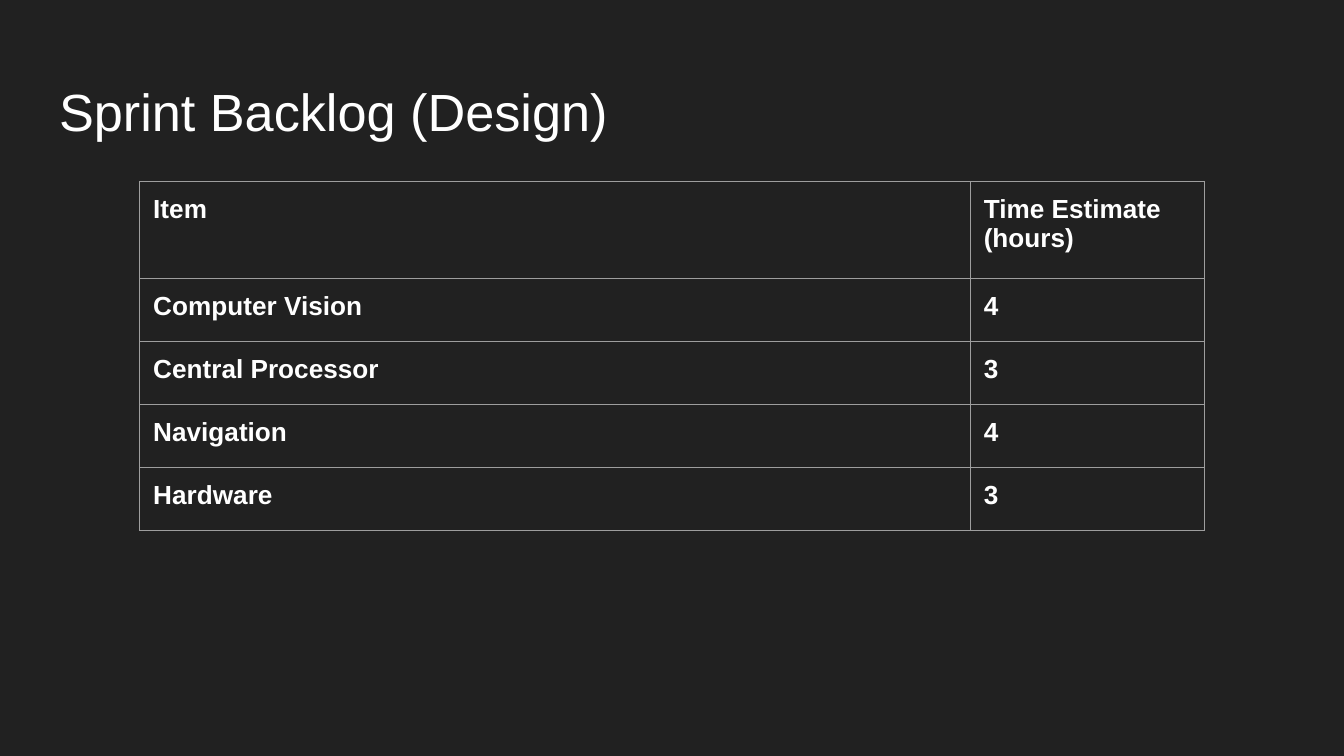
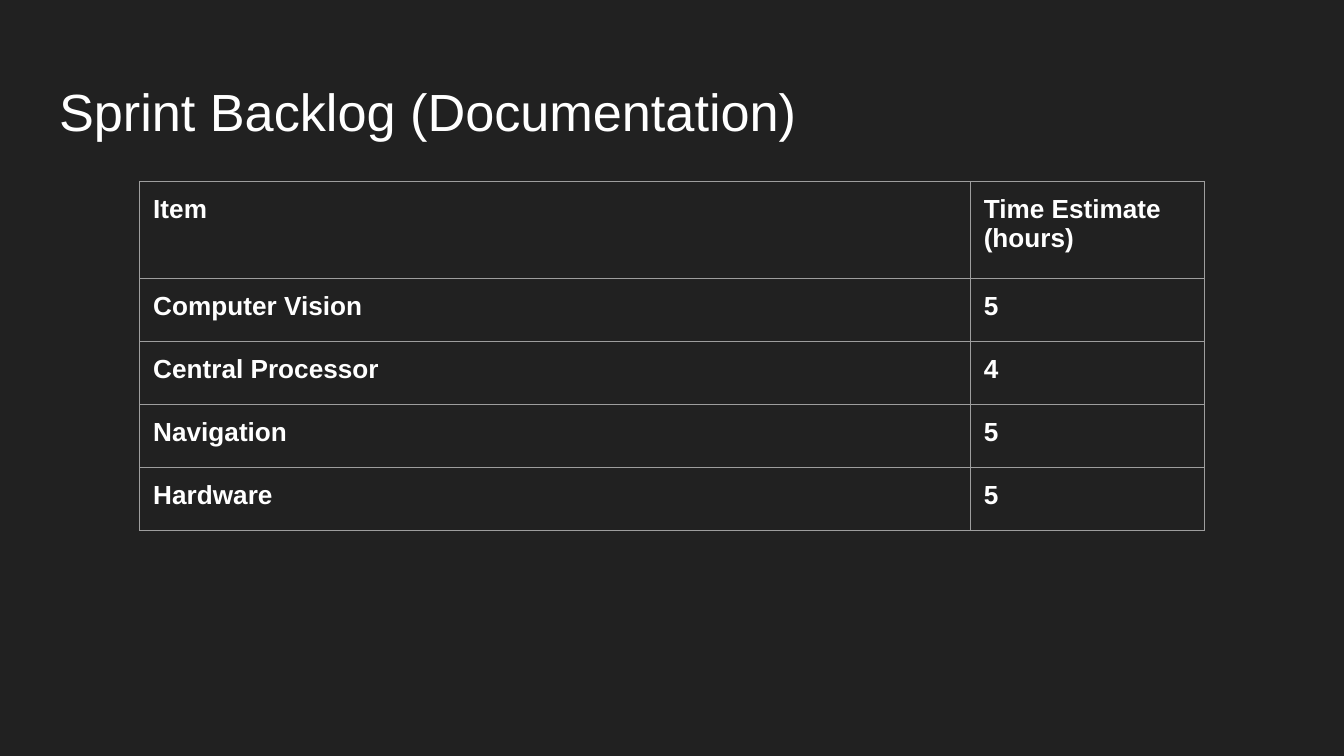
from dataclasses import dataclass

from lxml import etree
from pptx import Presentation
from pptx.dml.color import RGBColor
from pptx.enum.text import MSO_ANCHOR, MSO_AUTO_SIZE, PP_ALIGN
from pptx.oxml.ns import qn
from pptx.presentation import Presentation as Deck
from pptx.slide import Slide
from pptx.table import _Cell
from pptx.text.text import TextFrame
from pptx.util import Inches, Pt

TOP = MSO_ANCHOR.TOP
LEFT = PP_ALIGN.LEFT
FIXED_SIZE = MSO_AUTO_SIZE.NONE

BACKGROUND = RGBColor(0x21, 0x21, 0x21)
TEXT = RGBColor(0xFF, 0xFF, 0xFF)
RULE = RGBColor(0x9E, 0x9E, 0x9E)
FONT = "Arial"

SLIDE_WIDTH = Inches(10)
SLIDE_HEIGHT = SLIDE_WIDTH * 9 // 16
TITLE_ONLY = 5

# Square grid: the slide is 100 modules wide, and all lengths count modules.
MODULE = SLIDE_WIDTH // 100
TITLE_BOX = (3.4, 4.9, 93.2, 6.3)
TABLE_ORIGIN = (10.4, 13.5)
COLUMN_WIDTHS = (61.8, 17.4)
HEADER_HEIGHT = 7.2
ITEM_HEIGHT = 4.7
INSET = 1

HEADER = ("Item", "Time Estimate (hours)")
ITEMS = ("Computer Vision", "Central Processor", "Navigation", "Hardware")


@dataclass(frozen=True)
class Backlog:
    phase: str
    hours: tuple[int, ...]


BACKLOGS = (
    Backlog("Design", (4, 3, 4, 3)),
    Backlog("Documentation", (5, 4, 5, 5)),
)


def modules(count: float) -> int:
    return round(count * MODULE)


def write(frame: TextFrame, text: str, *, size: float, bold: bool = False,
          space_before: float = 0) -> None:
    paragraph = frame.paragraphs[0]
    paragraph.alignment = LEFT
    paragraph.space_before = Pt(space_before)
    run = paragraph.add_run()
    run.text = text
    run.font.name = FONT
    run.font.size = Pt(size)
    run.font.bold = bold
    run.font.color.rgb = TEXT


def set_insets(holder: TextFrame | _Cell) -> None:
    holder.margin_left = holder.margin_right = modules(INSET)
    holder.margin_top = holder.margin_bottom = modules(INSET)
    holder.vertical_anchor = TOP


def set_borders(cell: _Cell, width: float = 0.75) -> None:
    properties = cell._tc.get_or_add_tcPr()
    for position, side in enumerate(("lnL", "lnR", "lnT", "lnB")):
        line = etree.Element(qn(f"a:{side}"), w=str(Pt(width)))
        fill = etree.SubElement(line, qn("a:solidFill"))
        etree.SubElement(fill, qn("a:srgbClr"), val=str(RULE))
        properties.insert(position, line)


def add_title(slide: Slide, text: str) -> None:
    title = slide.shapes.title
    title.left, title.top, title.width, title.height = map(modules, TITLE_BOX)
    frame = title.text_frame
    frame.word_wrap = True
    frame.auto_size = FIXED_SIZE
    set_insets(frame)
    write(frame, text, size=28)


def add_backlog_table(slide: Slide, hours: tuple[int, ...]) -> None:
    rows = [HEADER, *zip(ITEMS, map(str, hours))]
    heights = [HEADER_HEIGHT] + [ITEM_HEIGHT] * len(ITEMS)
    left, top = map(modules, TABLE_ORIGIN)
    table = slide.shapes.add_table(
        len(rows), len(HEADER), left, top,
        modules(sum(COLUMN_WIDTHS)), modules(sum(heights))).table
    table.first_row = table.horz_banding = False
    for column, width in zip(table.columns, COLUMN_WIDTHS):
        column.width = modules(width)
    for row, height, texts in zip(table.rows, heights, rows):
        row.height = modules(height)
        for cell, text in zip(row.cells, texts):
            set_insets(cell)
            cell.fill.background()
            set_borders(cell)
            write(cell.text_frame, text, size=14, bold=True)


def add_backlog_slide(deck: Deck, backlog: Backlog) -> None:
    slide = deck.slides.add_slide(deck.slide_layouts[TITLE_ONLY])
    add_title(slide, f"Sprint Backlog ({backlog.phase})")
    add_backlog_table(slide, backlog.hours)


def main() -> None:
    deck = Presentation()
    deck.slide_width, deck.slide_height = SLIDE_WIDTH, SLIDE_HEIGHT
    background = deck.slide_master.background.fill
    background.solid()
    background.fore_color.rgb = BACKGROUND
    for backlog in BACKLOGS:
        add_backlog_slide(deck, backlog)
    deck.save("out.pptx")


if __name__ == "__main__":
    main()
